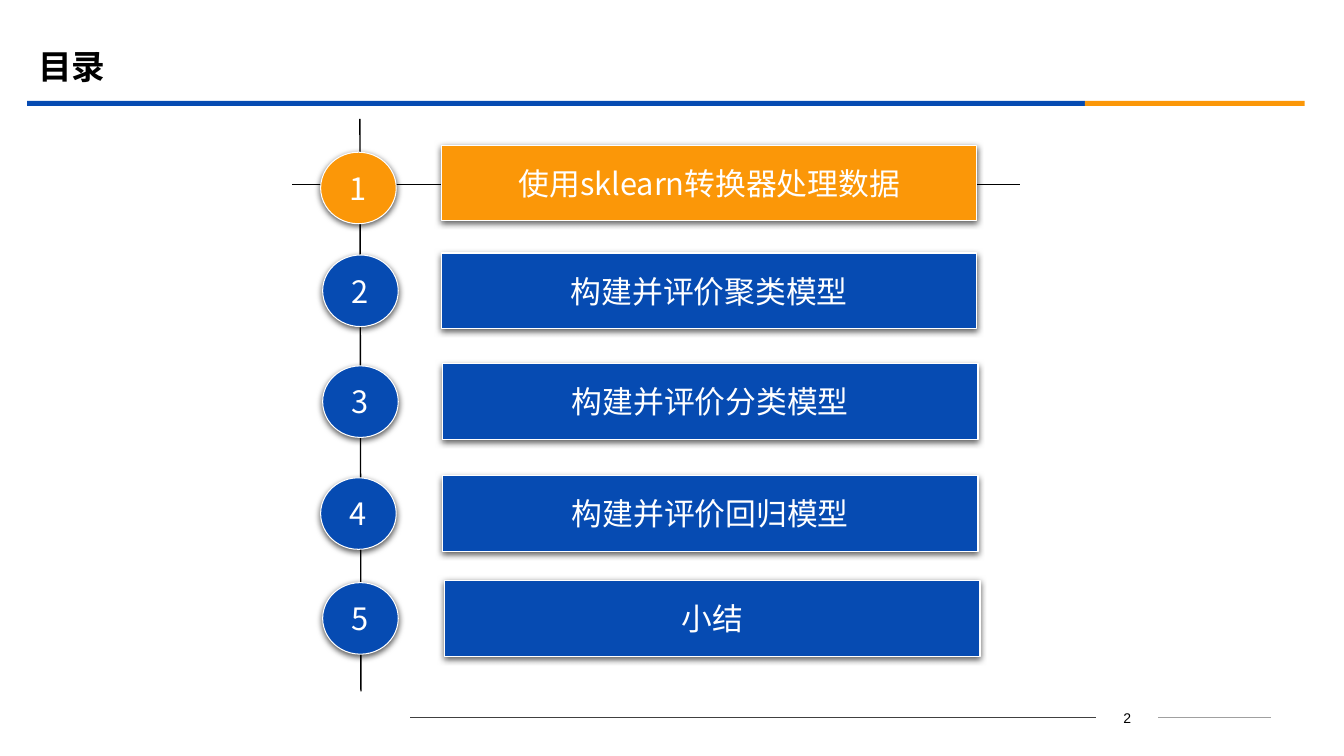
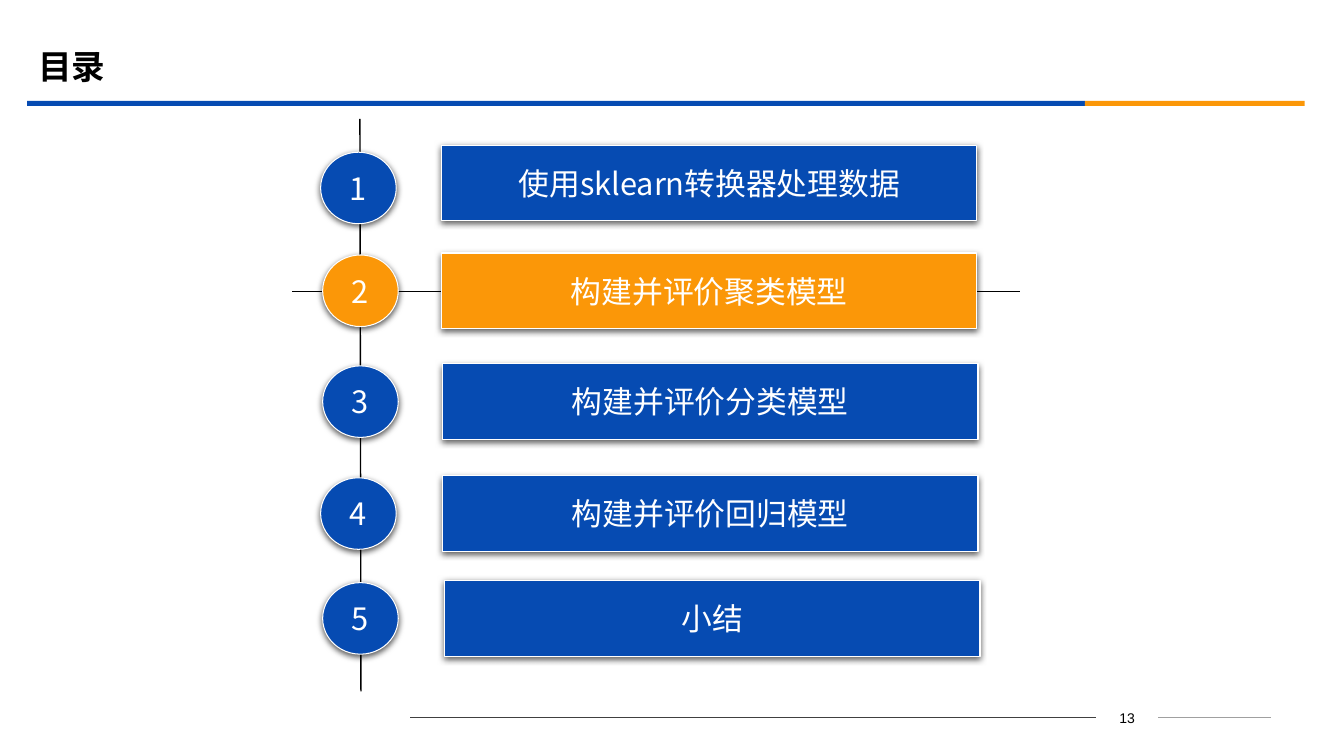
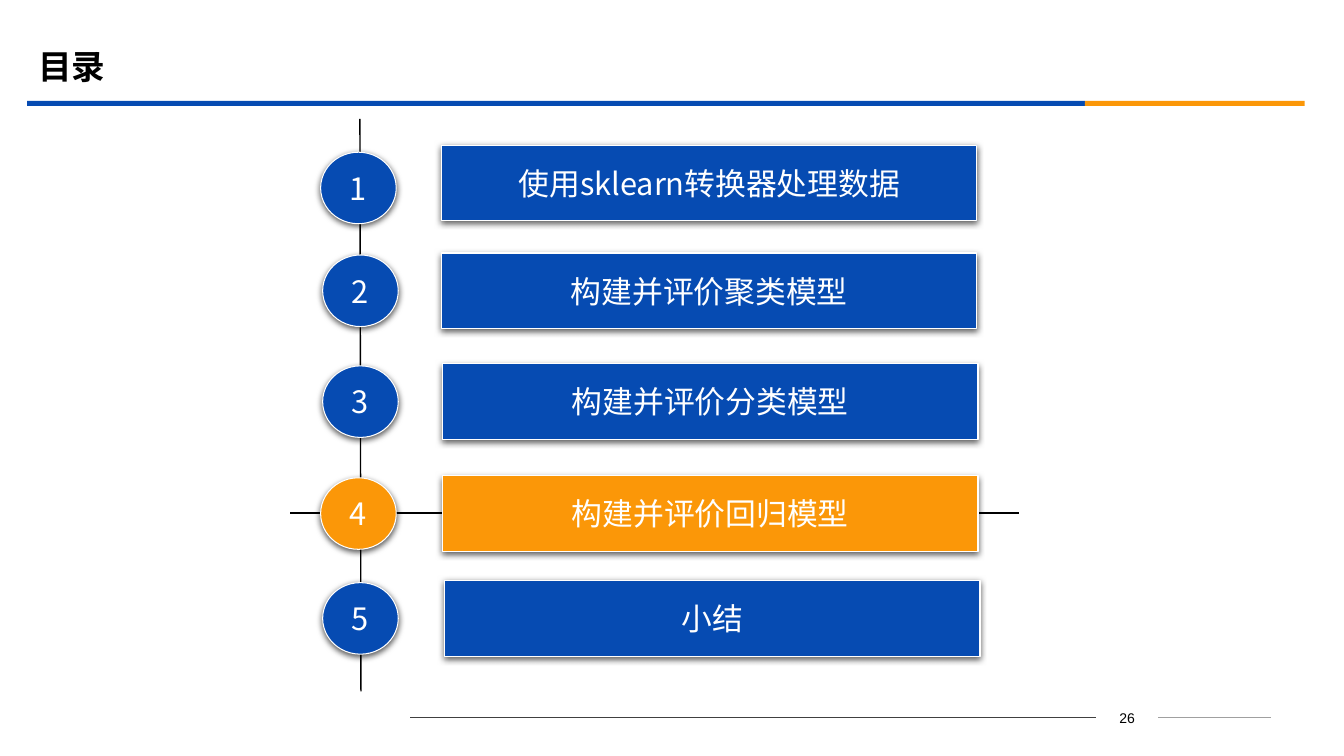
from lxml import etree
from pptx import Presentation
from pptx.dml.color import RGBColor
from pptx.enum.shapes import MSO_CONNECTOR, MSO_SHAPE
from pptx.enum.text import MSO_ANCHOR, PP_ALIGN
from pptx.oxml.ns import qn
from pptx.util import Inches, Pt

STRAIGHT = MSO_CONNECTOR.STRAIGHT
RECTANGLE = MSO_SHAPE.RECTANGLE
OVAL = MSO_SHAPE.OVAL
BUTTON = MSO_SHAPE.ACTION_BUTTON_CUSTOM
MIDDLE = MSO_ANCHOR.MIDDLE
TOP = MSO_ANCHOR.TOP
LEFT = PP_ALIGN.LEFT
CENTER = PP_ALIGN.CENTER

COLORS = {
    "blue": "064BB2",
    "orange": "FB9708",
    "black": "000000",
    "white": "FFFFFF",
    "dark": "404040",
    "grey": "A0A0A0",
}
CJK = "Noto Sans CJK SC"
BUTTON_SIZE = (5.31, 0.75)
BADGE_SIZE = (0.75, 0.71)

CHAPTERS = [
    ("使用sklearn转换器处理数据", 4.38, 1.44, 3.18, 1.51),
    ("构建并评价聚类模型", 4.38, 2.51, 3.2, 2.53),
    ("构建并评价分类模型", 4.39, 3.61, 3.2, 3.63),
    ("构建并评价回归模型", 4.39, 4.72, 3.18, 4.74),
    ("小结", 4.41, 5.76, 3.2, 5.78),
]
AGENDAS = [
    (2, 1, (2.9, 1.83, 10.12, 1.83)),
    (13, 2, (2.9, 2.89, 10.12, 2.89)),
    (26, 4, (2.88, 5.09, 10.11, 5.09)),
]
BANDS = [(0.27, 10.49, "blue"), (10.76, 2.18, "orange")]
FOOTER_RULES = [
    ((11.49, 7.12, 12.61, 7.12), "grey", 0.75),
    ((4.07, 7.12, 10.87, 7.12), "dark", 0.5),
]


def write(shape, text, size, color, font=CJK, align=CENTER, anchor=MIDDLE, bold=False):
    frame = shape.text_frame
    frame.vertical_anchor = anchor
    paragraph = frame.paragraphs[0]
    paragraph.alignment = align
    run = paragraph.add_run()
    run.text = text
    run.font.size = Pt(size)
    run.font.bold = bold
    run.font.name = font
    run.font.color.rgb = RGBColor.from_string(COLORS[color])
    etree.SubElement(run.font._element, qn("a:ea"), typeface=font)
    return frame


def draw_line(slide, ends, color, width):
    rule = slide.shapes.add_connector(STRAIGHT, *map(Inches, ends))
    rule.line.color.rgb = RGBColor.from_string(COLORS[color])
    rule.line.width = Pt(width)
    etree.SubElement(rule._element.spPr, qn("a:effectLst"))


prs = Presentation()
prs.slide_width = Inches(13.33)
prs.slide_height = Inches(7.5)

for page, current, crossbar in AGENDAS:
    slide = prs.slides.add_slide(prs.slide_layouts[6])

    page_number = slide.shapes.add_textbox(*map(Inches, (10.87, 6.99, 0.62, 0.25)))
    write(page_number, str(page), 10, "black", font="Arial", anchor=TOP).word_wrap = True
    for ends, color, width in FOOTER_RULES:
        draw_line(slide, ends, color, width)

    for left, width, color in BANDS:
        band = slide.shapes.add_shape(RECTANGLE, *map(Inches, (left, 1, width, 0.05)))
        band.shadow.inherit = False
        band.fill.solid()
        band.fill.fore_color.rgb = RGBColor.from_string(COLORS[color])
        band.line.fill.background()

    title = slide.shapes.add_textbox(*map(Inches, (0.28, 0.39, 12, 0.58)))
    title_frame = write(title, "目录", 24, "black", align=LEFT, bold=True)
    title_frame.word_wrap = True
    title_frame.paragraphs[0].line_spacing = 0.9

    draw_line(slide, (3.57, 1.18, 3.58, 6.86), "black", 1)
    draw_line(slide, crossbar, "black", 1)

    for number, (name, name_left, name_top, badge_left, badge_top) in enumerate(CHAPTERS, 1):
        fill = COLORS["orange" if number == current else "blue"]
        for preset, text, left, top, size in [
            (BUTTON, name, name_left, name_top, BUTTON_SIZE),
            (OVAL, str(number), badge_left, badge_top, BADGE_SIZE),
        ]:
            chapter = slide.shapes.add_shape(preset, *map(Inches, (left, top, *size)))
            chapter.fill.solid()
            chapter.fill.fore_color.rgb = RGBColor.from_string(fill)
            chapter.line.color.rgb = RGBColor.from_string(COLORS["white"])
            chapter.line.width = Pt(0.75)
            write(chapter, text, 22, "white").word_wrap = False
            chapter.shadow.inherit = False
            effects = chapter._element.spPr.find(qn("a:effectLst"))
            shadow = etree.SubElement(
                effects, qn("a:outerShdw"), blurRad=str(Pt(4.5)), dist=str(Pt(1.5)),
                dir="5400000", rotWithShape="0",
            )
            shade = etree.SubElement(shadow, qn("a:srgbClr"), val=COLORS["black"])
            etree.SubElement(shade, qn("a:alpha"), val="63000")

prs.save("out.pptx")
